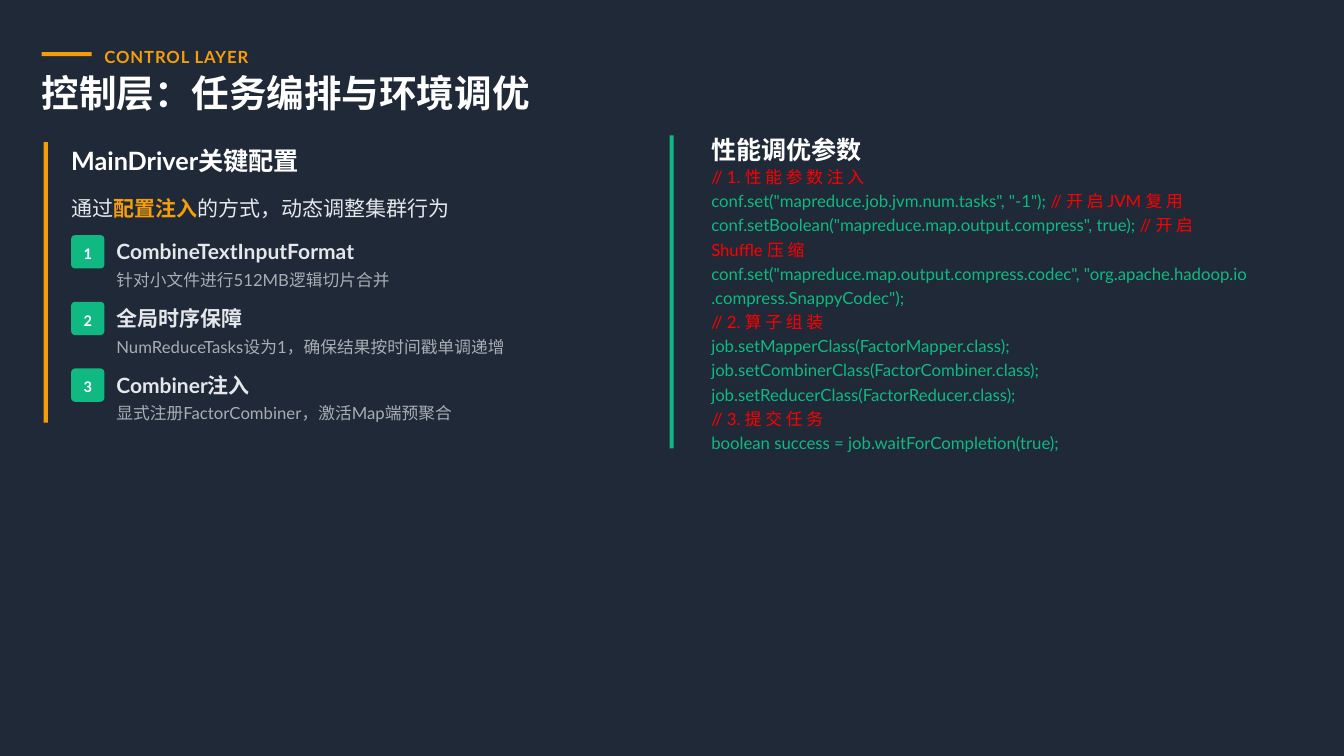
import pptx
import pptx.dml.color
import pptx.enum.shapes
import pptx.enum.text
import pptx.oxml
import pptx.oxml.ns
import pptx.util
from pptx.util import Cm

RGBColor = pptx.dml.color.RGBColor
NAVY = RGBColor(0x1F, 0x29, 0x37)
AMBER = RGBColor(0xF5, 0x9E, 0x0B)
GREEN = RGBColor(0x10, 0xB9, 0x81)
RED = RGBColor(0xFF, 0x00, 0x00)
WHITE = RGBColor(0xFF, 0xFF, 0xFF)
LIGHT = RGBColor(0xE5, 0xE7, 0xEB)

LATIN_FONT = "Lato"
CHINESE_FONT = "Noto Sans CJK SC"
BAR_THICKNESS = Cm(0.14)
BADGE_SIZE = Cm(1.12)
HEADING_HEIGHT = Cm(1.12)
LINE_HEIGHT = Cm(0.84)

STEPS = [
    ("CombineTextInputFormat", "针对小文件进行512MB逻辑切片合并"),
    ("全局时序保障", "NumReduceTasks设为1，确保结果按时间戳单调递增"),
    ("Combiner注入", "显式注册FactorCombiner，激活Map端预聚合"),
]
CODE_LINES = [
    [("// 1. 性 能 参 数 注 入", RED)],
    [('conf.set("mapreduce.job.jvm.num.tasks", "-1"); ', GREEN), ("// 开 启 JVM 复 用", RED)],
    [('conf.setBoolean("mapreduce.map.output.compress", true); ', GREEN), ("// 开 启", RED)],
    [("Shuffle 压 缩", RED)],
    [('conf.set("mapreduce.map.output.compress.codec", "org.apache.hadoop.io', GREEN)],
    [('.compress.SnappyCodec");', GREEN)],
    [("// 2. 算 子 组 装", RED)],
    [("job.setMapperClass(FactorMapper.class);", GREEN)],
    [("job.setCombinerClass(FactorCombiner.class);", GREEN)],
    [("job.setReducerClass(FactorReducer.class);", GREEN)],
    [("// 3. 提 交 任 务", RED)],
    [("boolean success = job.waitForCompletion(true);", GREEN)],
]


def write_text(shape, text, size, color=WHITE, bold=False, line_spacing=1.3,
               align=pptx.enum.text.PP_ALIGN.LEFT, font_name=LATIN_FONT,
               opacity=None, tracking=None):
    """Fill a shape with a string, or with lines of (text, color[, bold]) runs."""
    frame = shape.text_frame
    frame.word_wrap = True
    frame.vertical_anchor = pptx.enum.text.MSO_ANCHOR.MIDDLE
    frame.margin_left = frame.margin_right = frame.margin_top = frame.margin_bottom = 0
    lines = [[(text, color)]] if isinstance(text, str) else text
    for index, line in enumerate(lines):
        paragraph = frame.add_paragraph() if index else frame.paragraphs[0]
        paragraph.alignment = align
        paragraph.line_spacing = line_spacing
        for run_text, run_color, *run_bold in line:
            run = paragraph.add_run()
            run.text = run_text
            font = run.font
            font.name = font_name
            font.size = pptx.util.Pt(size)
            font.bold = run_bold[0] if run_bold else bold
            font.color.rgb = run_color
            properties = run._r.get_or_add_rPr()
            properties.append(pptx.oxml.parse_xml(
                f'<a:ea {pptx.oxml.ns.nsdecls("a")} typeface="{CHINESE_FONT}"/>'))
            if tracking:
                properties.set("spc", str(round(tracking * 100)))
            if opacity:
                color_element = properties.find(".//" + pptx.oxml.ns.qn("a:srgbClr"))
                color_element.append(pptx.oxml.parse_xml(
                    f'<a:alpha {pptx.oxml.ns.nsdecls("a")} val="{opacity * 1000}"/>'))


def add_text(slide, left, top, width, height, text, size, **text_format):
    write_text(slide.shapes.add_textbox(left, top, width, height), text, size, **text_format)


def add_block(slide, left, top, width, height, color,
              kind=pptx.enum.shapes.MSO_SHAPE.RECTANGLE):
    shape = slide.shapes.add_shape(kind, left, top, width, height)
    shape.shadow.inherit = False
    shape.fill.solid()
    shape.fill.fore_color.rgb = color
    shape.line.fill.background()
    return shape


def add_header(slide, left, top, width):
    add_block(slide, left, top + Cm(0.35), Cm(1.68), BAR_THICKNESS, AMBER)
    add_text(slide, left + Cm(2.11), top, Cm(5.18), LINE_HEIGHT, "CONTROL LAYER", 15.9,
             color=AMBER, bold=True, tracking=0.8)
    add_text(slide, left, top + Cm(1.11), width, Cm(1.4), "控制层：任务编排与环境调优", 35.8,
             bold=True, line_spacing=0.9, font_name=CHINESE_FONT)


def add_step(slide, left, top, width, number, title, detail):
    badge = add_block(slide, left, top, BADGE_SIZE, BADGE_SIZE, GREEN,
                      pptx.enum.shapes.MSO_SHAPE.ROUNDED_RECTANGLE)
    badge.adjustments[0] = 0.12
    write_text(badge, str(number), 13.9, bold=True, line_spacing=1.2,
               align=pptx.enum.text.PP_ALIGN.CENTER)
    text_left = left + Cm(1.52)
    text_width = width - Cm(1.52)
    add_text(slide, text_left, top, text_width, LINE_HEIGHT, title, 20, color=LIGHT, bold=True)
    add_text(slide, text_left, top + Cm(0.98), text_width, LINE_HEIGHT, detail, 15.9,
             color=LIGHT, opacity=70)


def add_driver_panel(slide, left, top, width, height):
    add_block(slide, left, top, BAR_THICKNESS, height, AMBER)
    text_left = left + Cm(0.92)
    text_width = width - Cm(0.92)
    add_text(slide, text_left, top, text_width, HEADING_HEIGHT, "MainDriver关键配置", 24,
             bold=True, line_spacing=1.1)
    intro = [[("通过", LIGHT), ("配置注入", AMBER, True), ("的方式，动态调整集群行为", LIGHT)]]
    add_text(slide, text_left, top + Cm(1.52), text_width, Cm(1.02), intro, 20, line_spacing=1.4)
    for index, (title, detail) in enumerate(STEPS):
        add_step(slide, text_left, top + Cm(3.12) + index * Cm(2.24), text_width,
                 index + 1, title, detail)


def add_code_panel(slide, left, top, width, height):
    add_block(slide, left, top, BAR_THICKNESS, height, GREEN)
    text_left = left + Cm(1.4)
    text_width = width - Cm(1.4)
    add_text(slide, text_left, top - Cm(0.15), text_width, HEADING_HEIGHT, "性能调优参数", 23.9,
             bold=True, line_spacing=1.1)
    add_text(slide, text_left, top + Cm(2.64), text_width, Cm(6.3), CODE_LINES, 16,
             line_spacing=1.2)


def main():
    presentation = pptx.Presentation()
    presentation.slide_width = Cm(45.16)
    presentation.slide_height = Cm(25.4)
    slide = presentation.slides.add_slide(presentation.slide_layouts[6])
    slide.background.fill.solid()
    slide.background.fill.fore_color.rgb = NAVY
    add_header(slide, Cm(1.4), Cm(1.4), Cm(42.98))
    add_driver_panel(slide, Cm(1.47), Cm(4.78), Cm(28.3), Cm(9.42))
    add_code_panel(slide, Cm(22.5), Cm(4.55), Cm(22), Cm(10.52))
    presentation.save("out.pptx")


if __name__ == "__main__":
    main()
